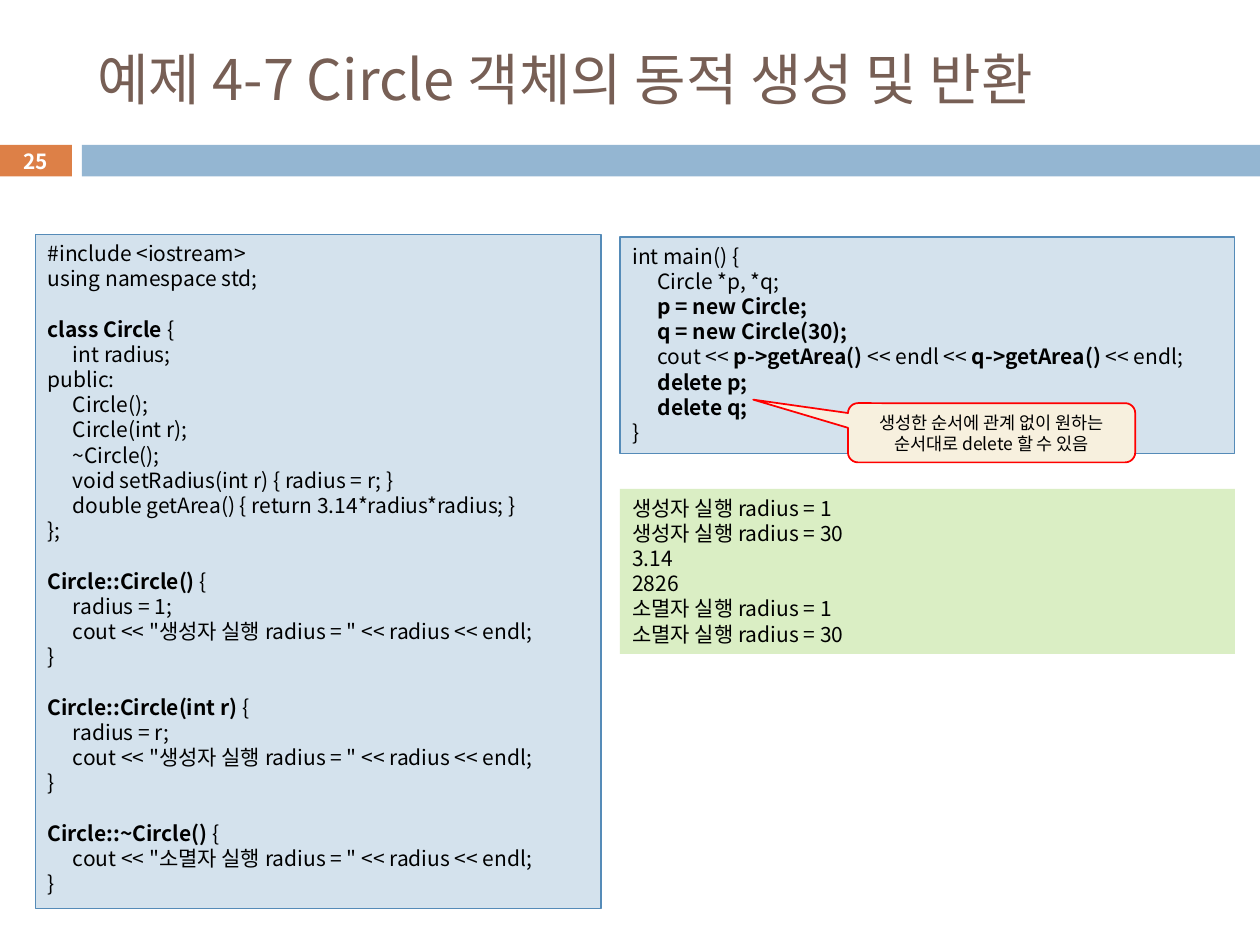
import pptx
import pptx.dml.color
import pptx.enum.shapes
import pptx.enum.text
import pptx.oxml
import pptx.oxml.ns
import pptx.util
from pptx.util import Inches

FONT = "Noto Sans CJK KR"
SHAPES = pptx.enum.shapes.MSO_SHAPE
CENTER = pptx.enum.text.PP_ALIGN.CENTER
MIDDLE = pptx.enum.text.MSO_ANCHOR.MIDDLE

CLASS_CODE = """#include <iostream>
using namespace std;

`class Circle `{
\tint radius;
public:
\tCircle();
\tCircle(int r);
\t~Circle();
\tvoid setRadius(int r) { radius = r; }
\tdouble getArea() { return 3.14*radius*radius; }
};

`Circle::Circle() `{
\tradius = 1;
\tcout << "생성자 실행 radius = " << radius << endl;
}

`Circle::Circle(int r) `{
\tradius = r;
\tcout << "생성자 실행 radius = " << radius << endl;
}

`Circle::~Circle() `{
\tcout << "소멸자 실행 radius = " << radius << endl;
}"""

MAIN_CODE = """int main() {
\tCircle *p, *q;
\t`p = new Circle;`
\t`q = new Circle(30);`
\tcout << `p->getArea() `<< endl << `q->getArea() `<< endl;
\t`delete p;`
\t`delete q;`
}"""

OUTPUT = """생성자 실행 radius = 1
생성자 실행 radius = 30
3.14
2826
소멸자 실행 radius = 1
소멸자 실행 radius = 30"""


def color(value):
    """Return the colour for a hex string."""
    return pptx.dml.color.RGBColor.from_string(value)


def format_run(run, size, hex_color="000000", bold=False):
    """Set the font of a run for Latin and Korean text."""
    run.font.name = FONT
    run.font.size = pptx.util.Pt(size)
    run.font.bold = bold
    run.font.color.rgb = color(hex_color)
    east_asian = pptx.oxml.parse_xml(
        f'<a:ea {pptx.oxml.ns.nsdecls("a")} typeface="{FONT}"/>')
    run.font._element.find(pptx.oxml.ns.qn("a:latin")).addnext(east_asian)


def add_box(slide, kind, box, fill, line=None, line_width=0.75):
    """Add a flat filled shape in the given box."""
    shape = slide.shapes.add_shape(kind, *map(Inches, box))
    shape.shadow.inherit = False
    shape.fill.solid()
    shape.fill.fore_color.rgb = color(fill)
    if line:
        shape.line.color.rgb = color(line)
        shape.line.width = pptx.util.Pt(line_width)
    else:
        shape.line.fill.background()
    return shape


def add_header(slide, box, title, number):
    """Place the title above the number block and the bar."""
    left, top, width, height = box
    placeholder = slide.shapes.title
    placeholder.left, placeholder.top = Inches(left + 0.68), Inches(top + 0.25)
    placeholder.width, placeholder.height = Inches(8.92), Inches(0.74)
    placeholder.text_frame.text = title
    placeholder.text_frame.vertical_anchor = MIDDLE
    paragraph = placeholder.text_frame.paragraphs[0]
    paragraph.alignment = pptx.enum.text.PP_ALIGN.LEFT
    format_run(paragraph.runs[0], 32, "775F55")

    bar_top = top + height - 0.25
    block = add_box(slide, SHAPES.RECTANGLE, (left, bar_top, 0.58, 0.25), "DD8047")
    add_box(slide, SHAPES.RECTANGLE,
            (left + 0.66, bar_top, width - 0.66, 0.25), "94B6D2")
    frame = block.text_frame
    frame.text = number
    frame.margin_top = frame.margin_bottom = 0
    frame.vertical_anchor = MIDDLE
    frame.paragraphs[0].alignment = CENTER
    format_run(frame.paragraphs[0].runs[0], 11.9, "FFFFFF", True)


def add_listing(slide, box, text, fill, line=None):
    """Place lines of code, with backticks around the bold parts."""
    shape = add_box(slide, SHAPES.RECTANGLE, box, fill, line)
    frame = shape.text_frame
    frame.word_wrap = True
    frame.vertical_anchor = pptx.enum.text.MSO_ANCHOR.TOP
    for index, code in enumerate(text.split("\n")):
        paragraph = frame.paragraphs[0] if index == 0 else frame.add_paragraph()
        paragraph.alignment = pptx.enum.text.PP_ALIGN.LEFT
        paragraph.line_spacing = pptx.util.Pt(14.4)
        paragraph.font.size = pptx.util.Pt(12)
        tabs = pptx.oxml.parse_xml(
            f'<a:tabLst {pptx.oxml.ns.nsdecls("a")}>'
            f'<a:tab pos="{Inches(0.2)}" algn="l"/></a:tabLst>')
        paragraph.font._element.addprevious(tabs)
        for part_index, part in enumerate(code.split("`")):
            if part:
                run = paragraph.add_run()
                run.text = part
                format_run(run, 12, bold=part_index % 2 == 1)


def add_callout(slide, box, text):
    """Place the rounded note that points at the delete lines."""
    shape = add_box(slide, SHAPES.ROUNDED_RECTANGULAR_CALLOUT, box,
                    "F7F0DE", "FF0000", 1)
    for index, value in enumerate((-0.83, -0.56, 0.17)):
        shape.adjustments[index] = value
    frame = shape.text_frame
    frame.text = text
    frame.word_wrap = True
    frame.vertical_anchor = MIDDLE
    paragraph = frame.paragraphs[0]
    paragraph.alignment = CENTER
    paragraph.line_spacing = pptx.util.Pt(12)
    format_run(paragraph.runs[0], 10)


def main():
    """Build the slide and save it."""
    presentation = pptx.Presentation()
    presentation.slide_width = Inches(10)
    presentation.slide_height = Inches(7.5)
    slide = presentation.slides.add_slide(presentation.slide_layouts[5])
    add_header(slide, (-0.01, 0, 10.01, 1.4),
               "예제 4-7 Circle 객체의 동적 생성 및 반환", "25")
    add_listing(slide, (0.28, 1.86, 4.49, 5.35), CLASS_CODE, "D4E2ED", "558BB8")
    add_listing(slide, (4.92, 1.88, 4.88, 1.72), MAIN_CODE, "D4E2ED", "558BB8")
    add_listing(slide, (4.92, 3.88, 4.88, 1.31), OUTPUT, "DAEEC4")
    add_callout(slide, (6.73, 3.2, 2.28, 0.47),
                "생성한 순서에 관계 없이 원하는 순서대로 delete 할 수 있음")
    presentation.save("out.pptx")


if __name__ == "__main__":
    main()
